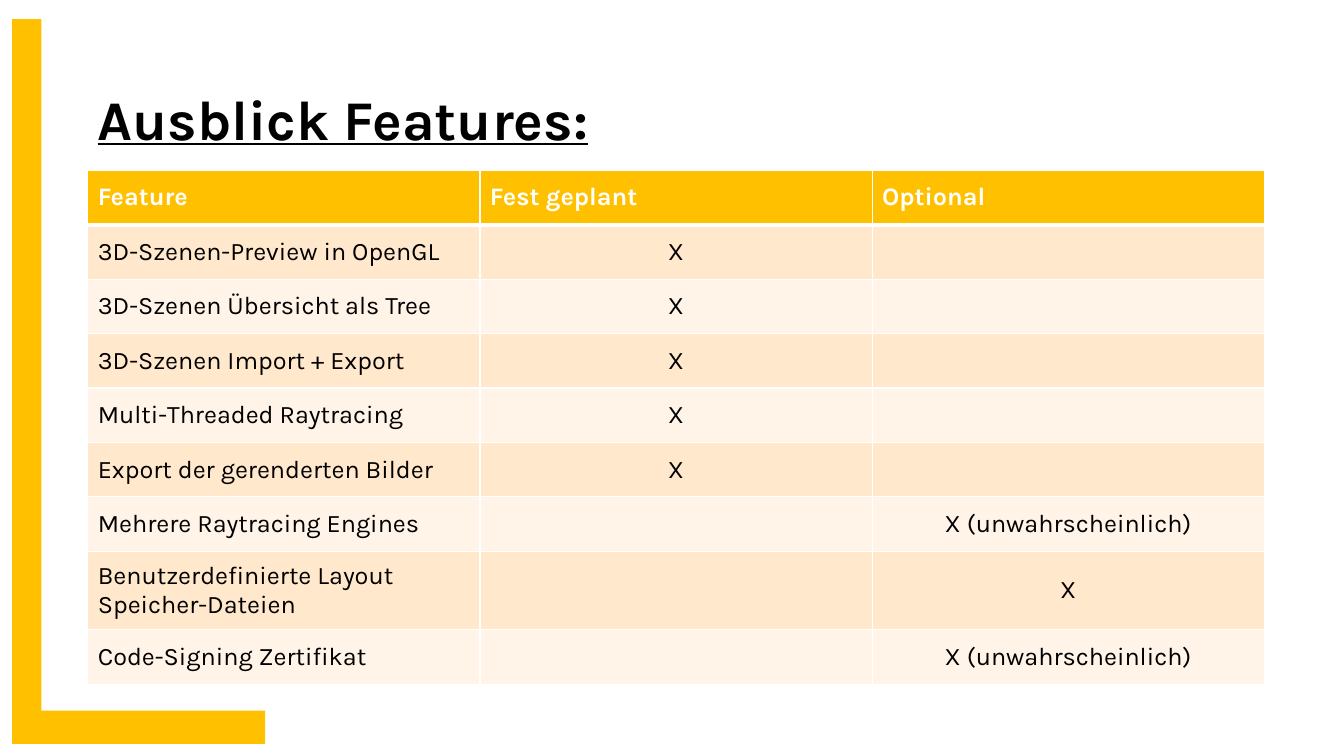
from lxml import etree
from pptx import Presentation
from pptx import util as u
from pptx.dml.color import RGBColor
from pptx.enum import shapes, text
from pptx.oxml.ns import qn

# Content
TITLE = "Ausblick Features:"
HEADER = ("Feature", "Fest geplant", "Optional")
FEATURES = [
    ("3D-Szenen-Preview in OpenGL", "X", ""),
    ("3D-Szenen Übersicht als Tree", "X", ""),
    ("3D-Szenen Import + Export", "X", ""),
    ("Multi-Threaded Raytracing", "X", ""),
    ("Export der gerenderten Bilder", "X", ""),
    ("Mehrere Raytracing Engines", "", "X (unwahrscheinlich)"),
    ("Benutzerdefinierte Layout Speicher-Dateien", "", "X"),
    ("Code-Signing Zertifikat", "", "X (unwahrscheinlich)"),
]

# Style
FONT = "Karla"
GOLD, WHITE, BLACK = "FFC000", "FFFFFF", "000000"
BANDS = ("FFE8CC", "FFF4E7")
ANGLE_BARS = [(0.12, 0.19, 0.29, 7.09), (0.12, 7.05, 2.51, 0.33)]
LEFT, TABLE_TOP, TABLE_WIDTH = 0.87, 1.69, 11.67
ROW_HEIGHT, TWO_LINE_HEIGHT = 0.54, 0.78
LINE_LIMIT = 30  # characters that fit on one line of a column


def paint(color_format, color):
    color_format.rgb = RGBColor.from_string(color)


def fill(part, color):
    part.fill.solid()
    paint(part.fill.fore_color, color)


def write(paragraph, words, size, color, bold=False, underline=False):
    run = paragraph.add_run()
    run.text = words
    run.font.name = FONT
    run.font.size = u.Pt(size)
    run.font.bold = bold
    run.font.underline = underline
    paint(run.font.color, color)


def set_borders(cell, widths):
    """Draw white borders; widths in points for left, right, top, bottom."""
    properties = cell._tc.get_or_add_tcPr()
    for index, (side, width) in enumerate(zip("LRTB", widths)):
        line = etree.Element(qn(f"a:ln{side}"), w=str(u.Pt(width)))
        solid = etree.SubElement(line, qn("a:solidFill"))
        etree.SubElement(solid, qn("a:srgbClr"), val=WHITE)
        properties.insert(index, line)


def main():
    prs = Presentation()
    prs.slide_width, prs.slide_height = u.Inches(13.33), u.Inches(7.5)
    slide = prs.slides.add_slide(prs.slide_layouts[6])

    # Title
    title = slide.shapes.add_textbox(
        *map(u.Inches, (LEFT, 0.79, 5.87, 0.77))).text_frame
    title.word_wrap = True
    write(title.paragraphs[0], TITLE, 40, BLACK, bold=True, underline=True)

    # Corner angle
    for place in ANGLE_BARS:
        bar = slide.shapes.add_shape(
            shapes.MSO_SHAPE.RECTANGLE, *map(u.Inches, place))
        bar.shadow.inherit = False
        fill(bar, GOLD)
        bar.line.fill.background()

    # Feature table
    rows = [HEADER] + FEATURES
    heights = [TWO_LINE_HEIGHT if len(row[0]) > LINE_LIMIT else ROW_HEIGHT
               for row in rows]
    table = slide.shapes.add_table(
        len(rows), len(HEADER), u.Inches(LEFT), u.Inches(TABLE_TOP),
        u.Inches(TABLE_WIDTH), u.Inches(sum(heights))).table
    for column in table.columns:
        column.width = u.Inches(TABLE_WIDTH / len(HEADER))

    for r, (row, height) in enumerate(zip(rows, heights)):
        table.rows[r].height = u.Inches(height)
        is_header = r == 0
        for c, words in enumerate(row):
            cell = table.cell(r, c)
            fill(cell, GOLD if is_header else BANDS[(r - 1) % 2])
            set_borders(cell, (1, 1, 3 if r == 1 else 1, 3 if is_header else 1))
            cell.vertical_anchor = text.MSO_ANCHOR.MIDDLE
            if not words:
                continue
            paragraph = cell.text_frame.paragraphs[0]
            if c and not is_header:
                paragraph.alignment = text.PP_ALIGN.CENTER
            write(paragraph, words, 18, WHITE if is_header else BLACK,
                  bold=is_header)

    prs.save("out.pptx")


if __name__ == "__main__":
    main()
